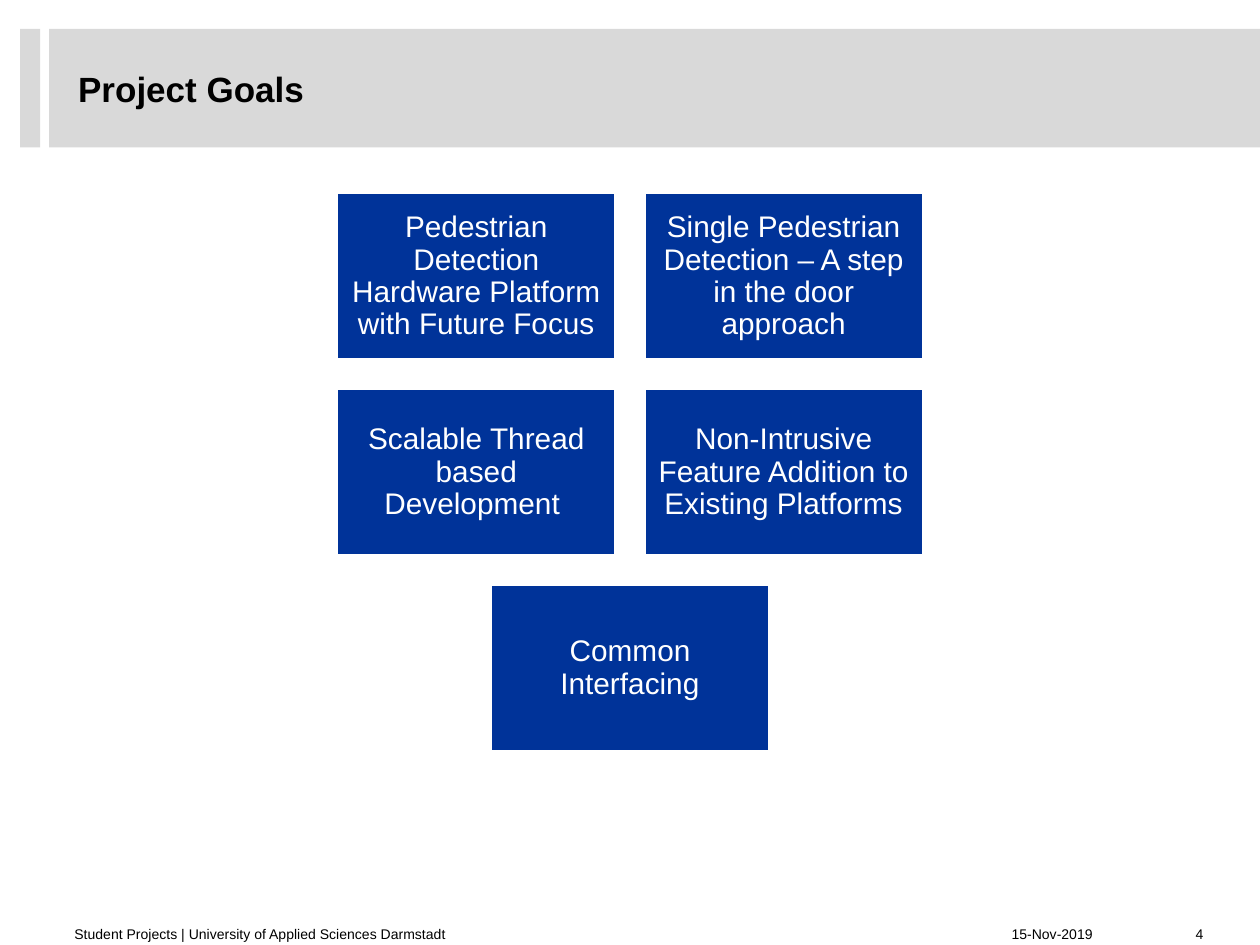
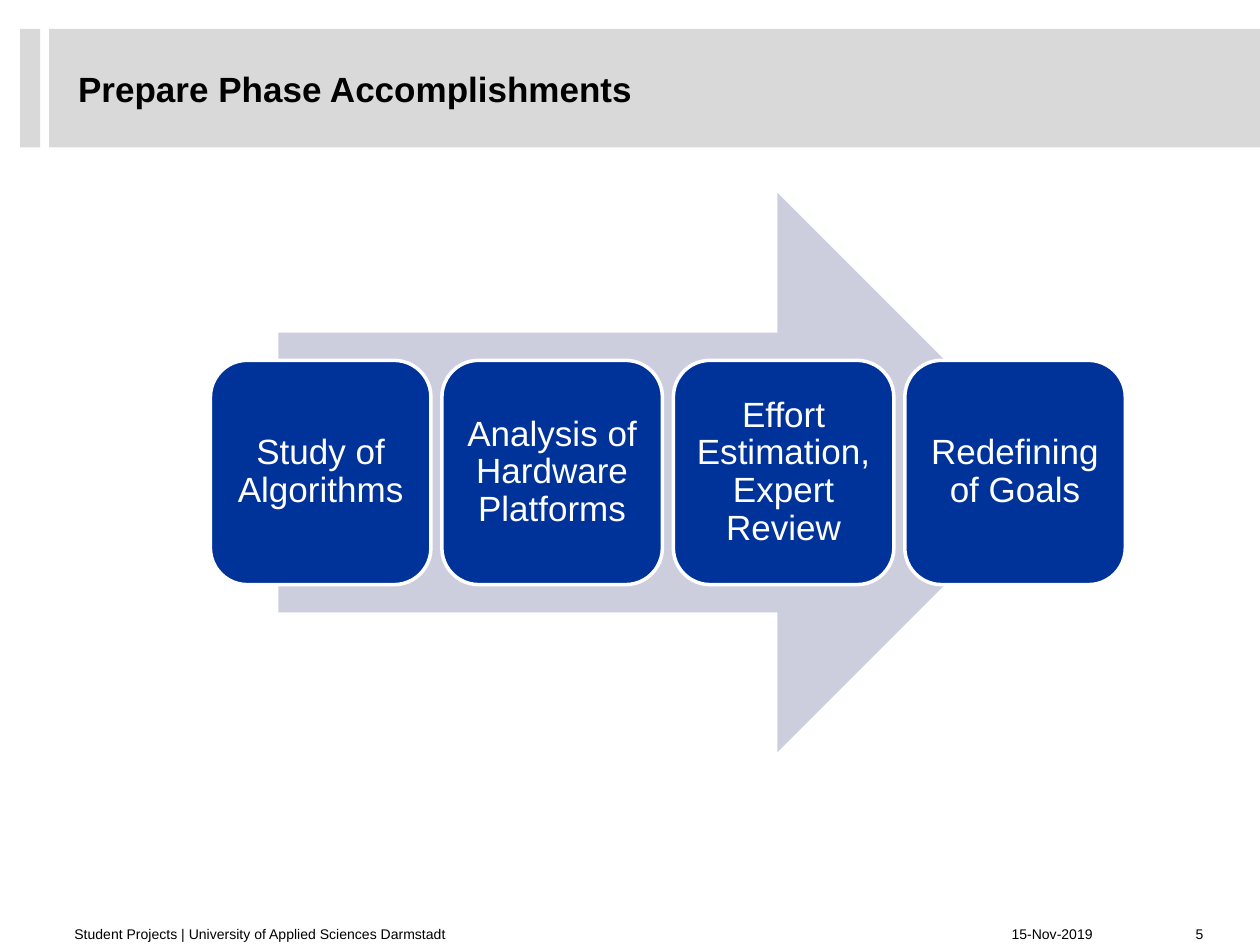
from pptx import Presentation
from pptx.dml.color import RGBColor
from pptx.enum.shapes import MSO_SHAPE
from pptx.enum.text import MSO_ANCHOR, PP_ALIGN
from pptx.util import Inches, Pt

COLORS = {
    "band": "D9D9D9",
    "box": "003399",
    "arrow": "CCCEDE",
    "black": "000000",
    "white": "FFFFFF",
}
FONT = "Arial"
FOOTER = "Student Projects | University of Applied Sciences Darmstadt"
DATE = "15-Nov-2019"


def add_block(slide, kind, left, top, width, height, fill, line=None):
    shape = slide.shapes.add_shape(
        kind, Inches(left), Inches(top), Inches(width), Inches(height))
    shape.shadow.inherit = False
    shape.fill.solid()
    shape.fill.fore_color.rgb = RGBColor.from_string(COLORS[fill])
    if line:
        shape.line.color.rgb = RGBColor.from_string(COLORS[line])
        shape.line.width = Pt(2)
    else:
        shape.line.fill.background()
    return shape


def write_text(shape, text, size, color, align, anchor, insets, spacing=None, bold=False):
    frame = shape.text_frame
    frame.text = text
    frame.word_wrap = True
    frame.vertical_anchor = anchor
    frame.margin_left, frame.margin_top, frame.margin_right, frame.margin_bottom = map(Inches, insets)
    paragraph = frame.paragraphs[0]
    paragraph.alignment = align
    if spacing:
        paragraph.line_spacing = spacing
    font = paragraph.runs[0].font
    font.name = FONT
    font.size = Pt(size)
    font.bold = bold
    font.color.rgb = RGBColor.from_string(COLORS[color])


presentation = Presentation()
presentation.slide_width = Inches(10)
presentation.slide_height = Inches(7.5)

slides = []
for number, title in enumerate(["Project Goals", "Prepare Phase Accomplishments"], start=4):
    slide = presentation.slides.add_slide(presentation.slide_layouts[6])
    slides.append(slide)
    for left, width in [(0.39, 9.61), (0.16, 0.16)]:
        add_block(slide, MSO_SHAPE.RECTANGLE, left, 0.23, width, 0.94, "band")

    title_box = slide.shapes.add_textbox(Inches(0.62), Inches(0.31), Inches(5.91), Inches(0.78))
    write_text(title_box, title, 20, "black", PP_ALIGN.LEFT, MSO_ANCHOR.MIDDLE,
               (0, 0, 0, 0), Pt(24), bold=True)

    footers = [
        (FOOTER, 0.59, 7.28, 0, PP_ALIGN.LEFT),
        (str(number), 9.12, 0.53, 0.1, PP_ALIGN.RIGHT),
        (DATE, 7.93, 1.14, 0.1, PP_ALIGN.LEFT),
    ]
    for text, left, width, left_inset, align in footers:
        footer_box = slide.shapes.add_textbox(Inches(left), Inches(7.28), Inches(width), Inches(0.2))
        write_text(footer_box, text, 8, "black", align, MSO_ANCHOR.BOTTOM,
                   (left_inset, 0, 0.1, 0))

goals_slide, phase_slide = slides

goal_rows = [
    ["Pedestrian Detection Hardware Platform with Future Focus",
     "Single Pedestrian Detection – A step in the door approach"],
    ["Scalable Thread based Development ",
     "Non-Intrusive Feature Addition to Existing Platforms"],
    ["Common Interfacing"],
]
goal_width, goal_height, goal_gap = 2.22, 1.33, 0.22
for row, goals in enumerate(goal_rows):
    row_width = len(goals) * (goal_width + goal_gap) - goal_gap
    for column, goal in enumerate(goals):
        left = (10 - row_width) / 2 + column * (goal_width + goal_gap)
        top = 1.53 + row * 1.555
        goal_box = add_block(goals_slide, MSO_SHAPE.RECTANGLE, left, top,
                             goal_width, goal_height, "box", "white")
        write_text(goal_box, goal, 17, "white", PP_ALIGN.CENTER, MSO_ANCHOR.MIDDLE,
                   (0.07,) * 4, 0.9)

add_block(phase_slide, MSO_SHAPE.RIGHT_ARROW, 2.21, 1.53, 6.18, 4.44, "arrow")
steps = ["Study of Algorithms", "Analysis of Hardware Platforms",
         "Effort Estimation, Expert Review", "Redefining of Goals"]
for index, step in enumerate(steps):
    step_box = add_block(phase_slide, MSO_SHAPE.ROUNDED_RECTANGLE, 1.67 + index * 1.837, 2.86,
                         1.75, 1.78, "box", "white")
    write_text(step_box, step, 20, "white", PP_ALIGN.CENTER, MSO_ANCHOR.MIDDLE,
               (0.08,) * 4, 0.9)

presentation.save("out.pptx")
